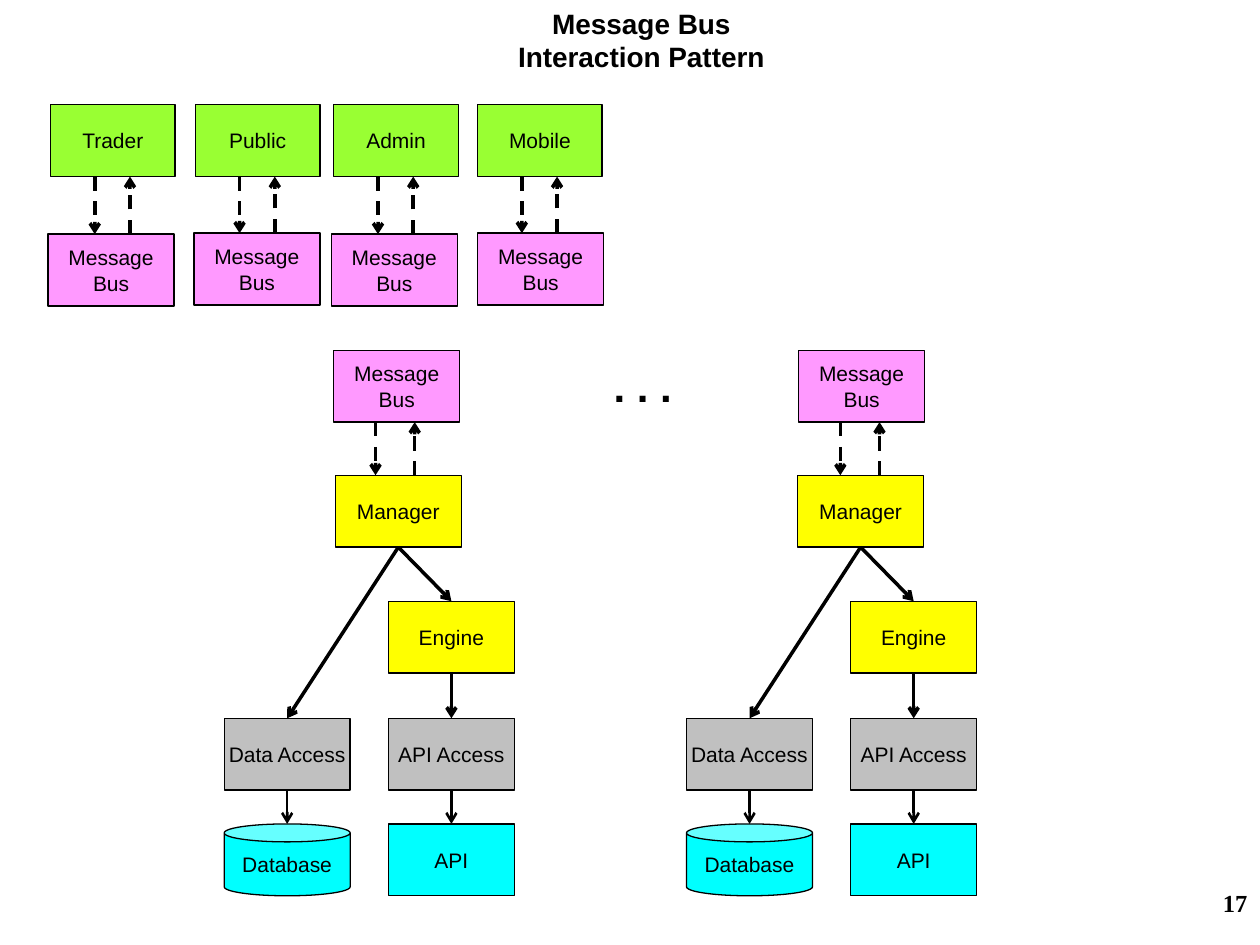
from dataclasses import dataclass
from typing import Optional

import pptx
import pptx.dml.color
import pptx.enum.dml
import pptx.enum.shapes
import pptx.enum.text
import pptx.oxml
import pptx.oxml.ns
import pptx.util

Cm = pptx.util.Cm
Pt = pptx.util.Pt
Kind = pptx.enum.shapes.MSO_SHAPE
Align = pptx.enum.text.PP_ALIGN
Anchor = pptx.enum.text.MSO_ANCHOR
Fit = pptx.enum.text.MSO_AUTO_SIZE


@dataclass(frozen=True)
class Theme:
    black: str = "000000"
    green: str = "99FF33"
    pink: str = "FF99FF"
    yellow: str = "FFFF00"
    grey: str = "C0C0C0"
    cyan: str = "00FFFF"
    sans: str = "Arial"
    serif: str = "Times New Roman"
    label: float = 12
    number: float = 14
    title: float = 16
    dots: float = 24
    edge: float = 0.75
    thin: float = 1.5
    thick: float = 2


THEME = Theme()
WIDE, HIGH = 2.54, 1.45  # common box size in cm


@dataclass(frozen=True)
class Box:
    text: str
    left: float
    top: float
    fill: str
    wide: float = WIDE
    kind: int = Kind.RECTANGLE


@dataclass(frozen=True)
class Client:
    name: str
    left: float
    bus_left: float
    bus_top: float


@dataclass(frozen=True)
class Stack:
    left: float
    bus_left: float


CLIENTS = [
    Client("Trader", 1.02, 0.97, 4.72),
    Client("Public", 3.94, 3.91, 4.7),
    Client("Admin", 6.73, 6.68, 4.72),
    Client("Mobile", 9.63, 9.63, 4.7),
]
STACKS = [Stack(4.52, 6.73), Stack(13.84, 16.1)]


def color(code: str) -> pptx.dml.color.RGBColor:
    return pptx.dml.color.RGBColor.from_string(code)


def write(shape, text: str, *, size: float = THEME.label, font: str = THEME.sans,
          bold: bool = False, align: int = Align.CENTER, anchor: int = Anchor.MIDDLE,
          wrap: bool = False, fit: int = Fit.NONE) -> None:
    """Fill a shape with text, one paragraph to a line."""
    frame = shape.text_frame
    frame.text = text
    frame.word_wrap = wrap
    frame.auto_size = fit
    frame.vertical_anchor = anchor
    for para in frame.paragraphs:
        para.alignment = align
        para.font.size = Pt(size)
        para.font.name = font
        para.font.bold = bold
        para.font.color.rgb = color(THEME.black)


def draw_box(slide, box: Box):
    shape = slide.shapes.add_shape(
        box.kind, Cm(box.left), Cm(box.top), Cm(box.wide), Cm(HIGH))
    shape.shadow.inherit = False
    shape.fill.solid()
    shape.fill.fore_color.rgb = color(box.fill)
    shape.line.color.rgb = color(THEME.black)
    shape.line.width = Pt(THEME.edge)
    write(shape, box.text)
    return shape


def draw_line(slide, x1: int, y1: int, x2: int, y2: int,
              width: float = THEME.thick, dash: bool = False):
    line = slide.shapes.add_connector(
        pptx.enum.shapes.MSO_CONNECTOR.STRAIGHT, x1, y1, x2, y2)
    line.line.color.rgb = color(THEME.black)
    line.line.width = Pt(width)
    if dash:
        line.line.dash_style = pptx.enum.dml.MSO_LINE.DASH
    head = pptx.oxml.parse_xml(
        f'<a:tailEnd {pptx.oxml.ns.nsdecls("a")} type="arrow"/>')
    line.line._get_or_add_ln().append(head)
    props = line._element.spPr
    props.append(pptx.oxml.parse_xml(
        f'<a:effectLst {pptx.oxml.ns.nsdecls("a")}/>'))
    return line


def link(slide, upper, lower, width: float = THEME.thick) -> None:
    """Join the bottom of one shape to the top of the next."""
    line = draw_line(slide, upper.left + upper.width // 2, upper.top + upper.height,
                     lower.left + lower.width // 2, lower.top, width)
    line.begin_connect(upper, 2)
    if lower.auto_shape_type == Kind.RECTANGLE:
        line.end_connect(lower, 0)


def draw_pair(slide, upper, lower, down: float, up: float) -> None:
    """Dashed arrows both ways, set off from the upper box's left side."""
    top, base = upper.top + upper.height, lower.top
    x1, x2 = upper.left + Cm(down), upper.left + Cm(up)
    draw_line(slide, x1, top, x1, base, dash=True)
    draw_line(slide, x2, base, x2, top, dash=True)


def draw_client(slide, client: Client) -> None:
    top = draw_box(slide, Box(client.name, client.left, 2.11, THEME.green, 2.51))
    bus = draw_box(slide, Box("Message\nBus", client.bus_left, client.bus_top, THEME.pink))
    draw_pair(slide, top, bus, 0.89, 1.6)


def draw_stack(slide, stack: Stack) -> None:
    left, right = stack.left, stack.left + 3.31
    bus = draw_box(slide, Box("Message\nBus", stack.bus_left, 7.06, THEME.pink))
    head = draw_box(slide, Box("Manager", left + 2.24, 9.58, THEME.yellow))
    engine = draw_box(slide, Box("Engine", right, 12.12, THEME.yellow))
    data = draw_box(slide, Box("Data Access", left, 14.48, THEME.grey))
    access = draw_box(slide, Box("API Access", right, 14.48, THEME.grey))
    store = draw_box(slide, Box("Database", left, 16.61, THEME.cyan, kind=Kind.CAN))
    api = draw_box(slide, Box("API", right, 16.61, THEME.cyan))
    draw_pair(slide, bus, head, 0.84, 1.63)
    for upper, lower in [(head, engine), (head, data), (engine, access)]:
        link(slide, upper, lower)
    for upper, lower in [(data, store), (access, api)]:
        link(slide, upper, lower, THEME.thin)


def main() -> None:
    deck = pptx.Presentation()
    deck.slide_width, deck.slide_height = Cm(25.4), Cm(19.05)
    slide = deck.slides.add_slide(deck.slide_layouts[5])

    # Title
    title = slide.shapes.title
    title.left, title.top = Cm(10.06), Cm(0)
    title.width, title.height = Cm(5.74), Cm(1.63)
    write(title, "Message Bus\nInteraction Pattern", size=THEME.title, bold=True,
          anchor=Anchor.TOP, wrap=True)

    # Clients, each with its own bus
    for client in CLIENTS:
        draw_client(slide, client)

    # Service stacks and the dots between them
    for stack in STACKS:
        draw_stack(slide, stack)
    dots = slide.shapes.add_textbox(Cm(12.12), Cm(7.14), Cm(1.88), Cm(1.27))
    write(dots, ". . .", size=THEME.dots, bold=True, align=Align.LEFT,
          anchor=Anchor.TOP, wrap=True, fit=Fit.SHAPE_TO_FIT_TEXT)

    # Page number
    page = slide.shapes.add_textbox(Cm(20.12), Cm(17.78), Cm(5.28), Cm(1.27))
    write(page, "17", size=THEME.number, font=THEME.serif, bold=True,
          align=Align.RIGHT, anchor=Anchor.TOP, wrap=True)

    deck.save("out.pptx")


if __name__ == "__main__":
    main()
